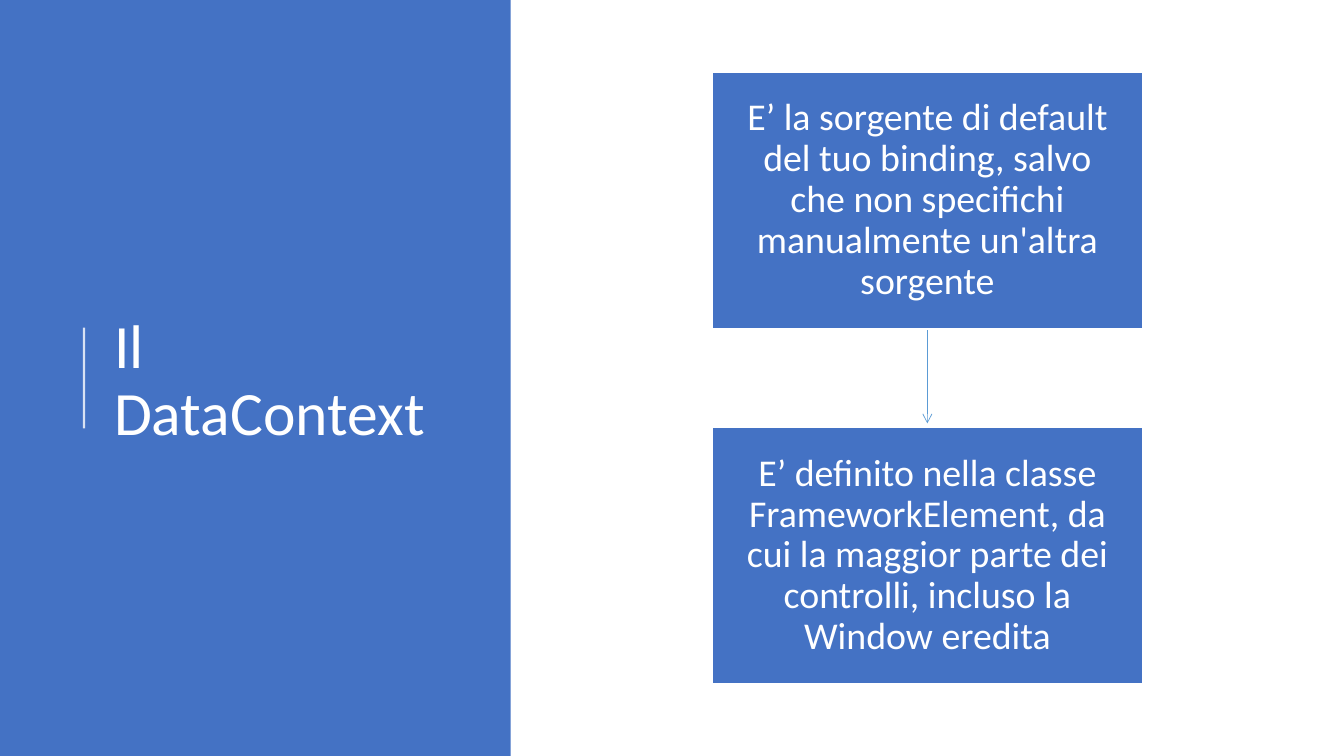
import pptx
import pptx.util
import pptx.dml.color
import pptx.enum.shapes
import pptx.enum.text
import pptx.oxml
import pptx.oxml.ns
from dataclasses import dataclass


@dataclass(frozen=True)
class Theme:
    font: str = "Calibri"
    blue: str = "4472C4"
    arrow: str = "5B9BD5"
    white: str = "FFFFFF"
    title: int = 44
    body: int = 27


def rgb(value):
    return pptx.dml.color.RGBColor.from_string(value)


def add_xml(parent, tag, **attrs):
    el = pptx.oxml.parse_xml(f"<a:{tag} {pptx.oxml.ns.nsdecls('a')}/>")
    for name, value in attrs.items():
        el.set(name, str(value))
    parent.append(el)


def write(tf, text, font, size, color, align="LEFT", inset=(0.1, 0.05)):
    tf.word_wrap = True
    tf.vertical_anchor = pptx.enum.text.MSO_ANCHOR.MIDDLE
    tf.margin_left = tf.margin_right = pptx.util.Inches(inset[0])
    tf.margin_top = tf.margin_bottom = pptx.util.Inches(inset[1])
    p = tf.paragraphs[0]
    p.alignment = getattr(pptx.enum.text.PP_ALIGN, align)
    p.line_spacing = 0.9
    r = p.add_run()
    r.text = text
    r.font.name = font
    r.font.size = pptx.util.Pt(size)
    r.font.color.rgb = rgb(color)


class Deck:
    COLS = ROWS = 100

    def __init__(self, theme):
        self.theme = theme
        self.prs = pptx.Presentation()
        self.prs.slide_width = pptx.util.Inches(13.33)
        self.prs.slide_height = pptx.util.Inches(7.5)
        self.s = self.prs.slides.add_slide(self.prs.slide_layouts[6])

    def grid(self, *cells):
        units = (self.prs.slide_width / self.COLS, self.prs.slide_height / self.ROWS)
        return [round(cell * units[i % 2]) for i, cell in enumerate(cells)]

    def box(self, *cells, outline=None):
        sp = self.s.shapes.add_shape(
            pptx.enum.shapes.MSO_SHAPE.RECTANGLE, *self.grid(*cells))
        sp.shadow.inherit = False
        sp.fill.solid()
        sp.fill.fore_color.rgb = rgb(self.theme.blue)
        if outline:
            sp.line.color.rgb = rgb(outline)
            sp.line.width = pptx.util.Pt(1)
        else:
            sp.line.fill.background()
        return sp

    def card(self, text, *cells):
        sp = self.box(*cells, outline=self.theme.white)
        write(sp.text_frame, text, self.theme.font, self.theme.body,
              self.theme.white, align="CENTER", inset=(0.21, 0.22))

    def title(self, text, *cells):
        sp = self.s.shapes.add_textbox(*self.grid(*cells))
        write(sp.text_frame, text, self.theme.font, self.theme.title, self.theme.white)

    def line(self, *cells, color, width, opacity=None, arrow=False):
        sp = self.s.shapes.add_connector(
            pptx.enum.shapes.MSO_CONNECTOR.STRAIGHT, *self.grid(*cells))
        sp.line.color.rgb = rgb(color)
        sp.line.width = pptx.util.Pt(width)
        ln = sp.line._get_or_add_ln()
        if opacity:
            add_xml(ln.find(".//" + pptx.oxml.ns.qn("a:srgbClr")), "alpha", val=opacity * 1000)
        if arrow:
            add_xml(ln, "tailEnd", type="arrow")
        add_xml(sp._element.spPr, "effectLst")


def main():
    theme = Theme()
    deck = Deck(theme)
    deck.box(0, 0, 38, 100)
    deck.title("Il DataContext", 7.75, 10.4, 27.5, 80.25)
    deck.line(6.25, 56.67, 6.25, 43.33, color=theme.white, width=1.5, opacity=80)

    left, top, width, height, step = 53, 9.5, 32, 34, 47
    center = left + width / 2
    deck.line(center, top + height, center, top + step - 0.5,
              color=theme.arrow, width=0.5, arrow=True)
    cards = (
        "E’ la sorgente di default del tuo binding, salvo che non specifichi "
        "manualmente un'altra sorgente",
        "E’ definito nella classe FrameworkElement, da cui la maggior parte dei "
        "controlli, incluso la Window eredita",
    )
    for i, text in enumerate(cards):
        deck.card(text, left, top + i * step, width, height)
    deck.prs.save("out.pptx")


if __name__ == "__main__":
    main()
